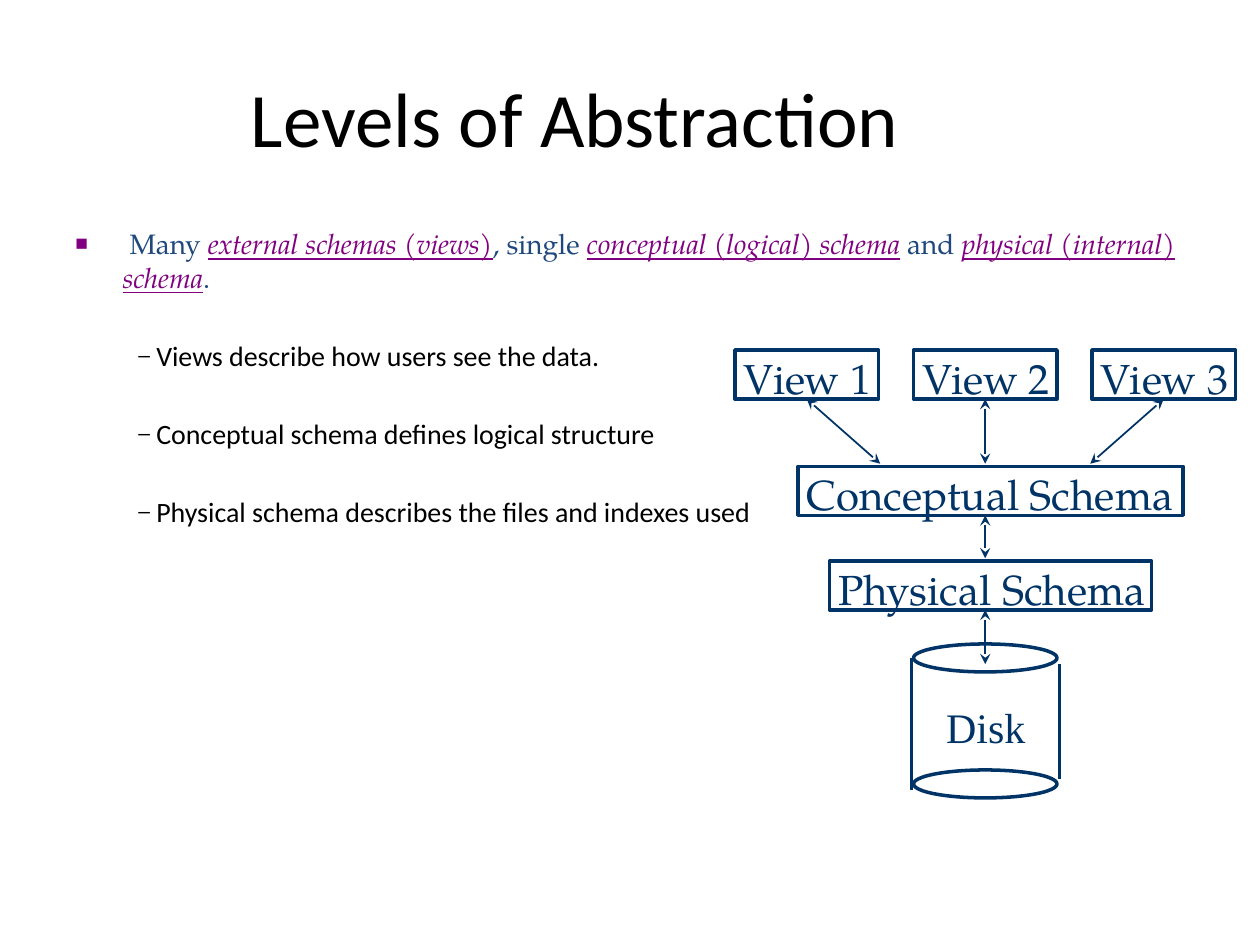
from lxml import etree
from pptx import Presentation
from pptx.dml.color import RGBColor
from pptx.enum.shapes import MSO_CONNECTOR, MSO_SHAPE
from pptx.enum.text import MSO_ANCHOR, PP_ALIGN
from pptx.oxml.ns import qn
from pptx.util import Pt

LINE = MSO_CONNECTOR.STRAIGHT
RECT, OVAL = MSO_SHAPE.RECTANGLE, MSO_SHAPE.OVAL
TOP, MIDDLE = MSO_ANCHOR.TOP, MSO_ANCHOR.MIDDLE
LEFT, CENTER = PP_ALIGN.LEFT, PP_ALIGN.CENTER
SERIF, SANS, ROMAN = "TeX Gyre Pagella", "Calibri", "Times New Roman"
NAVY, BLUE, PURPLE, BLACK = "003366", "1F497D", "800080", "000000"

LEAD = [
    (" Many ", False), ("external schemas (views)", True),
    (", single ", False), ("conceptual (logical) schema", True),
    (" and ", False), ("physical (internal) schema", True), (".", False),
]
POINTS = [
    " Views describe how users see the data.",
    " Conceptual schema defines logical structure",
    " Physical schema describes the files and indexes used",
]


def color(code):
    return RGBColor.from_string(code)


def add_run(para, text, size, face, code):
    run = para.add_run()
    run.text = text
    font = run.font
    font.size, font.name = Pt(size), face
    font.color.rgb = color(code)
    return run


def set_frame(frame, insets, anchor=TOP, wrap=True):
    """Insets run left, top, right, bottom."""
    frame.word_wrap = wrap
    frame.vertical_anchor = anchor
    (frame.margin_left, frame.margin_top,
     frame.margin_right, frame.margin_bottom) = map(Pt, insets)


def add_text(slide, box, insets=(7.2, 3.6, 7.2, 3.6), anchor=TOP, wrap=True):
    frame = slide.shapes.add_textbox(*map(Pt, box)).text_frame
    set_frame(frame, insets, anchor, wrap)
    return frame


def set_bullet(para, mark, left, indent, code=None):
    props = para._p.get_or_add_pPr()
    props.set("marL", str(Pt(left)))
    props.set("indent", str(Pt(indent)))
    if code:
        tint = etree.SubElement(props, qn("a:buClr"))
        etree.SubElement(tint, qn("a:srgbClr"), val=code)
    etree.SubElement(props, qn("a:buSzPct"), val="75000")
    etree.SubElement(props, qn("a:buFont"), typeface="Arial")
    etree.SubElement(props, qn("a:buChar"), char=mark)


def add_shape(slide, kind, box):
    shape = slide.shapes.add_shape(kind, *map(Pt, box))
    shape.shadow.inherit = False
    shape.fill.background()
    shape.line.color.rgb = color(NAVY)
    shape.line.width = Pt(2)
    return shape


def add_line(slide, start, end, width=2):
    line = slide.shapes.add_connector(LINE, *map(Pt, start + end))
    line.line.color.rgb = color(NAVY)
    line.line.width = Pt(width)
    etree.SubElement(line._element.spPr, qn("a:effectLst"))
    return line


def add_arrow(slide, start, end, source=None):
    """Two-headed arrow, joined to the bottom of source if one is given."""
    line = add_line(slide, start, end, 1)
    for tag in ("a:headEnd", "a:tailEnd"):
        etree.SubElement(line.line._get_or_add_ln(), qn(tag), type="stealth")
    if source:
        line.begin_connect(source, 2)


def add_label(slide, text, box):
    shape = add_shape(slide, RECT, box)
    set_frame(shape.text_frame, (5, 1.5, 0, 0))
    para = shape.text_frame.paragraphs[0]
    para.alignment = LEFT
    add_run(para, text, 24, SERIF, NAVY)
    return shape


def add_title(slide, box):
    frame = add_text(slide, box, (7.2, 3.6, 70, 3.6), MIDDLE)
    para = frame.paragraphs[0]
    para.alignment = CENTER
    add_run(para, "Levels of Abstraction", 44, SANS, BLACK)


def add_body(slide, box):
    frame = add_text(slide, box)
    para = frame.paragraphs[0]
    set_bullet(para, "■", 27, -27, PURPLE)
    for text, term in LEAD:
        run = add_run(para, text, 16, SERIF, PURPLE if term else BLUE)
        run.font.italic = run.font.underline = term
    for text in POINTS:
        para = frame.add_paragraph()
        para.space_before = Pt(25.5)
        set_bullet(para, "–", 36, 0)
        add_run(para, text, 16, SANS, BLACK)


def add_disk(slide, box):
    left, top, width, height = box
    rim = 16
    for y in (top, top + height - rim):
        add_shape(slide, OVAL, (left, y, width, rim))
    add_line(slide, (left - 1, top + 8), (left - 1, top + 83.5))
    right = left + width + 1.5
    add_line(slide, (right, top + 11.5), (right, top + 77))
    frame = add_text(slide, (left + 11.5, top + 29.5, 60, 36), wrap=False)
    add_run(frame.paragraphs[0], "Disk", 24, ROMAN, NAVY)


def add_levels(slide, box):
    left, top, width, height = box
    mid = left + 143
    high, wide, step = 28, 82, 102
    views = [
        add_label(slide, f"View {i + 1}", (left + i * step, top, wide, high))
        for i in range(3)
    ]
    concept = top + 66.5
    physical = top + 120.5
    disk = top + 168
    add_label(slide, "Conceptual Schema", (left + 36, concept, 220, high))
    add_label(slide, "Physical Schema", (left + 54, physical, 184, high))
    add_disk(slide, (mid - wide / 2, disk, wide, top + height - disk))
    for view, shift in zip(views, (-60, 0, 60)):
        add_arrow(slide, (mid, top + high), (mid + shift, concept - 1.5), view)
    add_arrow(slide, (mid, concept + high), (mid, physical - 1.5))
    add_arrow(slide, (mid, physical + high), (mid, disk + 11.5))


def main():
    deck = Presentation()
    deck.slide_width, deck.slide_height = Pt(720), Pt(540)
    slide = deck.slides.add_slide(deck.slide_layouts[6])
    add_title(slide, (36, 21.6, 648, 90))
    add_body(slide, (36, 126, 648, 356))
    add_levels(slide, (420, 200, 286, 256))
    deck.save("out.pptx")


if __name__ == "__main__":
    main()
